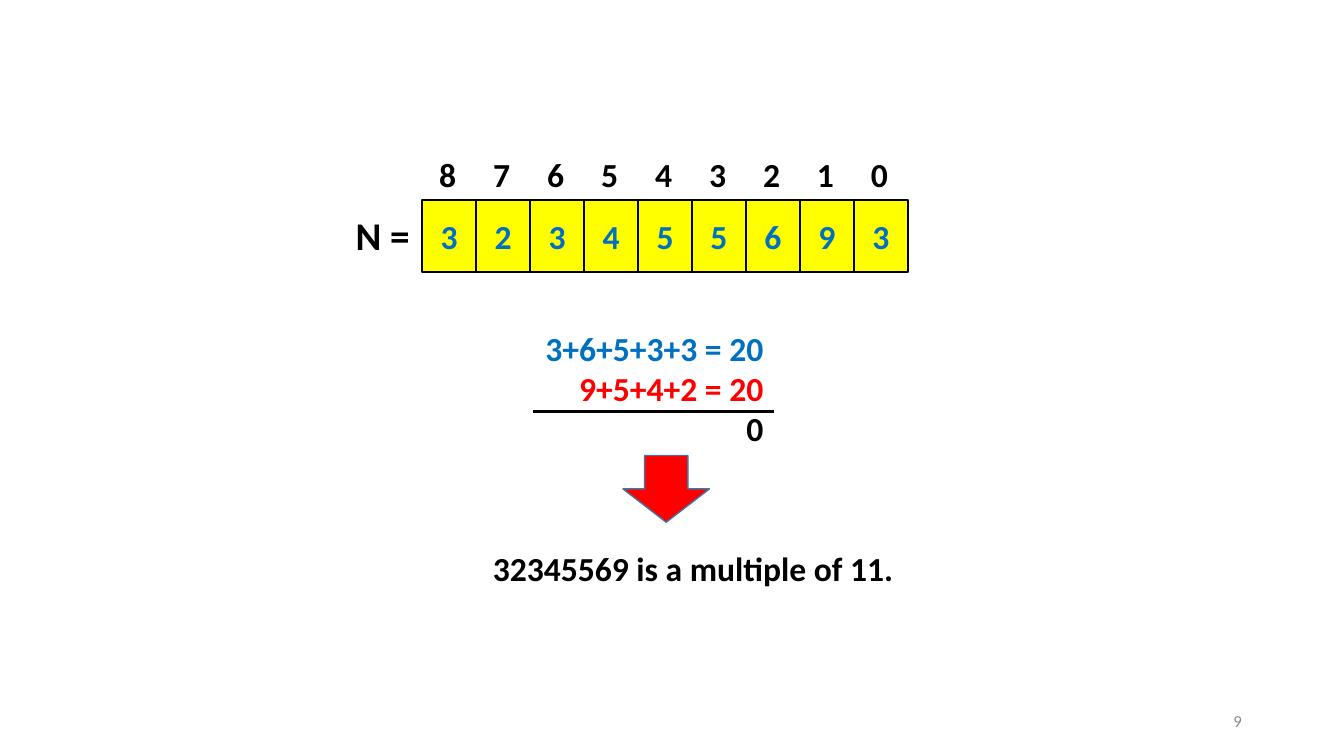
import pptx
import pptx.dml.color
import pptx.enum.shapes
import pptx.enum.text
import pptx.oxml.ns
import pptx.util
from lxml import etree

Cm = pptx.util.Cm
Pt = pptx.util.Pt
RGBColor = pptx.dml.color.RGBColor
ALIGN = pptx.enum.text.PP_ALIGN
ANCHOR = pptx.enum.text.MSO_ANCHOR
SHAPE = pptx.enum.shapes.MSO_SHAPE

BLACK = RGBColor(0x00, 0x00, 0x00)
BLUE = RGBColor(0x00, 0x70, 0xC0)
RED = RGBColor(0xFF, 0x00, 0x00)
YELLOW = RGBColor(0xFF, 0xFF, 0x00)
GRAY = RGBColor(0x8C, 0x8C, 0x8C)
ARROW_EDGE = RGBColor(0x43, 0x73, 0x9E)

DIGITS = "323455693"
DIGIT_LEFT, DIGIT_TOP = 10.64, 5.03
DIGIT_WIDTH, DIGIT_HEIGHT = 1.36, 1.83


def style(paragraph, color, size=24, bold=True, align=ALIGN.LEFT):
    paragraph.alignment = align
    font = paragraph.font
    font.name = "Calibri"
    font.size = Pt(size)
    font.bold = bold
    font.color.rgb = color


def add_text(slide, box, lines, anchor=ANCHOR.TOP, **options):
    """Place a text box holding one paragraph per (text, color) line."""
    frame = slide.shapes.add_textbox(*map(Cm, box)).text_frame
    frame.word_wrap = True
    frame.vertical_anchor = anchor
    for number, (text, color) in enumerate(lines):
        paragraph = frame.add_paragraph() if number else frame.paragraphs[0]
        paragraph.text = text
        style(paragraph, color, **options)
    return frame


def add_filled(slide, kind, box, fill, edge, edge_width):
    shape = slide.shapes.add_shape(kind, *map(Cm, box))
    shape.shadow.inherit = False
    shape.fill.solid()
    shape.fill.fore_color.rgb = fill
    shape.line.color.rgb = edge
    shape.line.width = Pt(edge_width)
    return shape


def add_digit(slide, position, digit):
    left = DIGIT_LEFT + position * DIGIT_WIDTH
    box = (left, DIGIT_TOP, DIGIT_WIDTH, DIGIT_HEIGHT)
    frame = add_filled(slide, SHAPE.RECTANGLE, box, YELLOW, BLACK, 1.5).text_frame
    frame.vertical_anchor = ANCHOR.MIDDLE
    frame.paragraphs[0].text = digit
    style(frame.paragraphs[0], BLUE, align=ALIGN.CENTER)


def add_tab_stops(paragraph, count, pitch):
    properties = paragraph.font._element.getparent()
    stops = etree.Element(pptx.oxml.ns.qn("a:tabLst"))
    for number in range(1, count + 1):
        etree.SubElement(stops, pptx.oxml.ns.qn("a:tab"),
                         pos=str(Cm(number * pitch)), algn="l")
    properties.find(pptx.oxml.ns.qn("a:defRPr")).addprevious(stops)


def add_rule(slide, left, right, y):
    rule = slide.shapes.add_connector(
        pptx.enum.shapes.MSO_CONNECTOR.STRAIGHT, Cm(left), Cm(y), Cm(right), Cm(y))
    rule.line.color.rgb = BLACK
    rule.line.width = Pt(2.25)
    etree.SubElement(rule._element.spPr, pptx.oxml.ns.qn("a:effectLst"))


def main():
    deck = pptx.Presentation()
    deck.slide_width, deck.slide_height = Cm(33.87), Cm(19.05)
    slide = deck.slides.add_slide(deck.slide_layouts[6])

    # The number, with the place of each digit above it
    for position, digit in enumerate(DIGITS):
        add_digit(slide, position, digit)
    last = len(DIGITS) - 1
    places = "\t".join(str(place) for place in range(last, -1, -1))
    places_frame = add_text(slide, (10.82, 3.76, 11.86, 1.27), [(places, BLACK)])
    add_tab_stops(places_frame.paragraphs[0], last, DIGIT_WIDTH)
    add_text(slide, (8.71, 5.21, 2.11, 1.45), [("N =", BLACK)], size=28)

    # Alternating digit sums and their difference
    sums = [("3+6+5+3+3 = 20", BLUE), ("9+5+4+2 = 20", RED), ("0", BLACK)]
    add_text(slide, (13.44, 8.13, 6.05, 3.33), sums, align=ALIGN.RIGHT)
    add_rule(slide, 13.44, 19.51, 10.36)

    # Conclusion
    add_text(slide, (12.17, 13.69, 10.69, 1.28),
             [("32345569 is a multiple of 11.", BLACK)])
    add_filled(slide, SHAPE.DOWN_ARROW, (15.7, 11.48, 2.18, 1.68), RED, ARROW_EDGE, 1)

    # Slide number
    add_text(slide, (23.93, 17.65, 7.62, 1.02), [("9", GRAY)], anchor=ANCHOR.MIDDLE,
             size=12, bold=False, align=ALIGN.RIGHT)

    deck.save("out.pptx")


if __name__ == "__main__":
    main()
